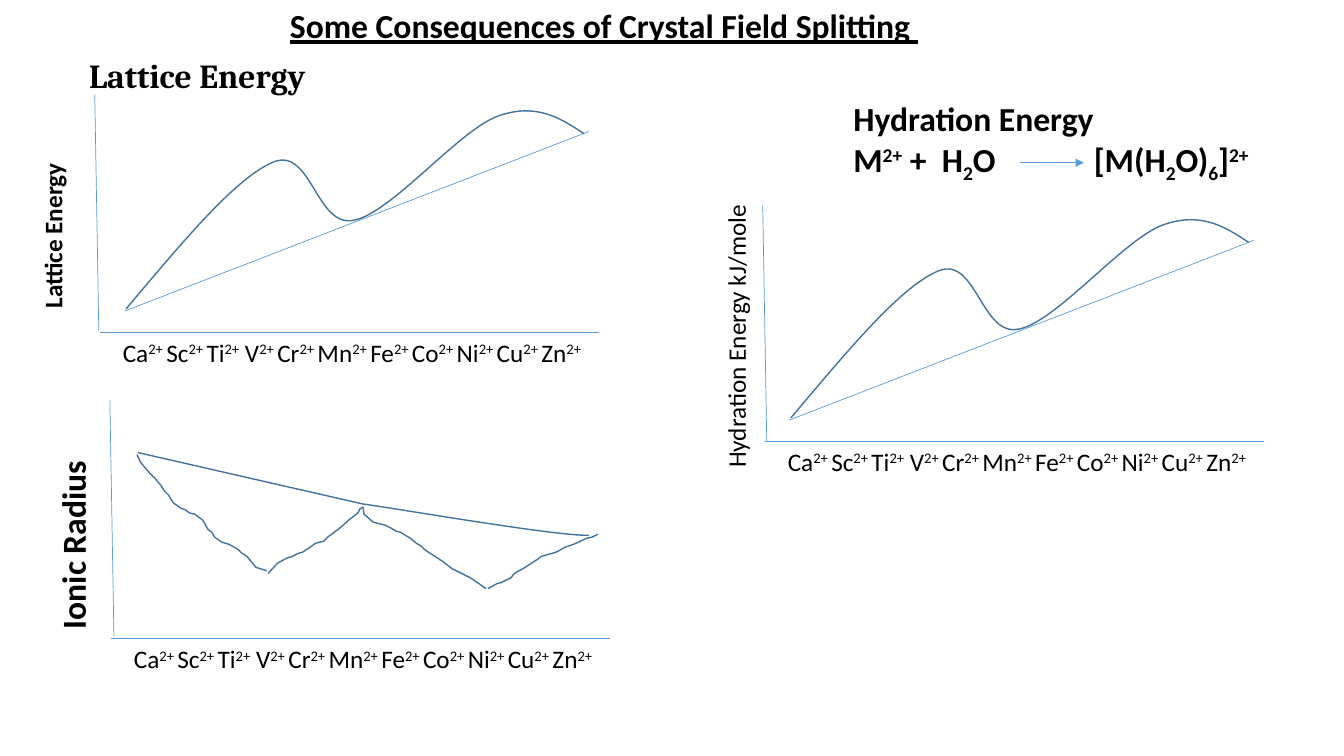
from lxml import etree
from pptx import Presentation
from pptx import util as u
from pptx.dml.color import RGBColor
from pptx.enum import shapes, text
from pptx.oxml import ns

BLACK = RGBColor(0x00, 0x00, 0x00)
AXIS_BLUE = RGBColor(0x5B, 0x9B, 0xD5)
CURVE_BLUE = RGBColor(0x43, 0x73, 0x9E)
CELL = 91440  # one grid column or row: a tenth of an inch

IONS = ["Ca", "Sc", "Ti", "V", "Cr", "Mn", "Fe", "Co", "Ni", "Cu", "Zn"]
# Spans are parted by "|"; "^" raises a span and "_" lowers it
ION_LABEL = ("|^2+ |".join(IONS) + "|^2+").replace("^2+ |V", "^2+| V")
BASELINES = {"^": "30000", "_": "-25000"}

# Offsets from the corner of an energy plot: start, then cubic segments
ENERGY_START = (2.6, -2.3)
ENERGY_CURVE = [
    [(8.1, -8.8), (13.5, -15.4), (17.3, -16.9)],
    [(21, -18.3), (21.5, -10.3), (25.2, -11.1)],
    [(28.9, -11.8), (35.5, -19.9), (39.4, -21.4)],
    [(43.2, -22.8), (45.6, -21.3), (48, -19.7)],
]
TREND = [(2.5, -2.1), (48.5, -19.9)]

# Hand-drawn strokes of the ionic radius plot
RADIUS_STROKES = [
    [(13.6, 45.1), (13.9, 45.8), (14.3, 46.3), (14.9, 47), (15.4, 47.5), (16, 48.2),
     (16.3, 48.7), (16.7, 49.1), (17.2, 49.9), (17.9, 50.4), (18.4, 50.6),
     (18.8, 50.9), (19.3, 51), (20.1, 51.6), (20.4, 52.1), (20.6, 52.5),
     (21, 52.8), (21.3, 53.3), (22, 53.8), (22.7, 54), (23.6, 54.5), (24, 54.9),
     (24.5, 55.2), (24.9, 55.7), (25.4, 56.3), (26.4, 56.6), (26.4, 56.7)],
    [(26.6, 56.9), (27.5, 55.9), (28.4, 55.4), (29, 55.2), (29.6, 54.9),
     (30, 54.8), (30.9, 54.2), (31.3, 53.9), (32.1, 53.7), (32.5, 53.3),
     (33.7, 52.4), (34.6, 51.6), (35.5, 50.9), (35.7, 50.5), (36, 50.3)],
    [(36, 50.3), (36.1, 51), (37, 51.8), (38.2, 52.1), (38.8, 52.4), (39.3, 52.7),
     (39.7, 52.8), (40.7, 53.4), (41.3, 53.9), (41.8, 54.2), (42.2, 54.6),
     (43, 55.1), (43.9, 55.7), (44.3, 56), (44.8, 56.4), (45.2, 56.6),
     (46.6, 57.3), (47.5, 57.9), (47.9, 58.2), (48.2, 58.4)],
    [(48.4, 58.4), (49.3, 57.9), (49.7, 57.8), (50.7, 57.3), (51, 56.9),
     (51.9, 56.4), (53.3, 55.5), (53.7, 55.2), (55.1, 54.8), (55.5, 54.6),
     (56, 54.3), (56.9, 54), (58.2, 53.4), (58.7, 53.3), (59.3, 53)],
]
# Smooth decline above them: a straight part, then a bend
DECLINE = [
    [(13.7, 44.9), (36, 50), (36, 50)],
    [(39.7, 50.5), (55.2, 53.2), (58.4, 53.1)],
]


def grid(value):
    return u.Emu(round(value * CELL))


def shift(points, corner):
    return [(x + corner[0], y + corner[1]) for x, y in points]


def write(para, words, size=18, font="Calibri", bold=False, underline=False):
    """Fill a paragraph with spans of one format."""
    for part in words.split("|"):
        span = para.add_run()
        span.text = part.lstrip("^_")
        span.font.size = u.Pt(size)
        span.font.name = font
        span.font.bold = bold
        span.font.underline = underline
        span.font.color.rgb = BLACK
        if part[0] in BASELINES:
            span.font._element.set("baseline", BASELINES[part[0]])


class Sketch:
    def __init__(self, page):
        self.page = page

    def title(self, words, area, **style):
        box = self.page.shapes.title
        box.left, box.top, box.width, box.height = map(grid, area)
        frame = box.text_frame
        frame.auto_size = text.MSO_AUTO_SIZE.NONE
        frame.vertical_anchor = text.MSO_ANCHOR.TOP
        frame.paragraphs[0].alignment = text.PP_ALIGN.LEFT
        write(frame.paragraphs[0], words, **style)

    def label(self, lines, area, wrap=False, turn=0, tab=None, **style):
        box = self.page.shapes.add_textbox(*map(grid, area))
        box.rotation = turn
        frame = box.text_frame
        frame.word_wrap = wrap
        frame.auto_size = text.MSO_AUTO_SIZE.SHAPE_TO_FIT_TEXT
        for index, words in enumerate(lines):
            para = frame.add_paragraph() if index else frame.paragraphs[0]
            if tab and "\t" in words:
                stops = etree.SubElement(para._p.get_or_add_pPr(), ns.qn("a:tabLst"))
                etree.SubElement(stops, ns.qn("a:tab"), pos=str(grid(tab)), algn="l")
            write(para, words, **style)

    def line(self, start, end, arrow=False):
        line = self.page.shapes.add_connector(
            shapes.MSO_CONNECTOR.STRAIGHT, *map(grid, (*start, *end)))
        line.line.color.rgb = AXIS_BLUE
        line.line.width = u.Pt(0.5)
        if arrow:
            etree.SubElement(line.line._get_or_add_ln(), ns.qn("a:tailEnd"), type="triangle")
        etree.SubElement(line._element.spPr, ns.qn("a:effectLst"))

    def stroke(self, points):
        corners = [(grid(x), grid(y)) for x, y in points]
        builder = self.page.shapes.build_freeform(*corners[0])
        builder.add_line_segments(corners[1:], close=False)
        shape = builder.convert_to_shape()
        shape.shadow.inherit = False
        shape.fill.background()
        shape.line.color.rgb = CURVE_BLUE
        shape.line.width = u.Pt(1)
        return shape

    def curve(self, start, segments):
        """Stroke through the segment ends, each piece bent into a cubic."""
        shape = self.stroke([start, *(segment[-1] for segment in segments)])
        pieces = list(shape._element.iter(ns.qn("a:lnTo")))
        for piece, segment in zip(pieces, segments):
            piece.tag = ns.qn("a:cubicBezTo")
            for place, (x, y) in enumerate(segment[:2]):
                handle = etree.Element(ns.qn("a:pt"), x=str(grid(x) - shape.left),
                                       y=str(grid(y) - shape.top))
                piece.insert(place, handle)

    def axes(self, top, corner):
        x, y = corner
        self.line(top, (top[0] + 0.4, top[1] + 23.4))
        self.line(corner, (x + 49.5, y))
        self.label([ION_LABEL], (x + 1.3, y, 51.4, 4))

    def energy_plot(self, top, corner):
        self.axes(top, corner)
        self.line(*shift(TREND, corner))
        self.curve(*shift([ENERGY_START], corner),
                   [shift(segment, corner) for segment in ENERGY_CURVE])


def main():
    deck = Presentation()
    deck.slide_width, deck.slide_height = u.Inches(13.33), u.Inches(7.5)
    sketch = Sketch(deck.slides.add_slide(deck.slide_layouts[5]))

    # Headings
    sketch.title("Some Consequences of Crystal Field Splitting ", (27.75, 0, 67.2, 5),
                 size=24, bold=True, underline=True)
    sketch.label(["Lattice Energy"], (7.85, 5, 31.7, 5), wrap=True,
                 size=24, font="Cambria", bold=True)

    # Hydration energy with its reaction
    sketch.energy_plot((75.65, 20.35), (75.85, 43.75))
    sketch.label(["Hydration Energy", "M|^2+| +  H|_2|O\t[M(H|_2|O)|_6|]|^2+"],
                 (83.65, 9.25, 44.9, 9.1), wrap=True, tab=23.85, size=24, bold=True)
    sketch.line((101.2, 16.15), (107.5, 16.15), arrow=True)
    sketch.label(["Hydration Energy kJ/mole"], (58.8, 31.2, 28.4, 4), turn=270)

    # Lattice energy
    sketch.energy_plot((9.4, 9.4), (9.9, 32.95))
    sketch.label(["Lattice Energy"], (-3.1, 21.3, 16.6, 4), turn=270, bold=True)

    # Ionic radius
    sketch.axes((10.9, 39.7), (11, 63.35))
    sketch.label(["Ionic Radius"], (-2.2, 51.5, 18.8, 5), turn=270, size=24, bold=True)
    for points in RADIUS_STROKES:
        sketch.stroke(points)
    sketch.curve(DECLINE[0][0], DECLINE)

    deck.save("out.pptx")


if __name__ == "__main__":
    main()
